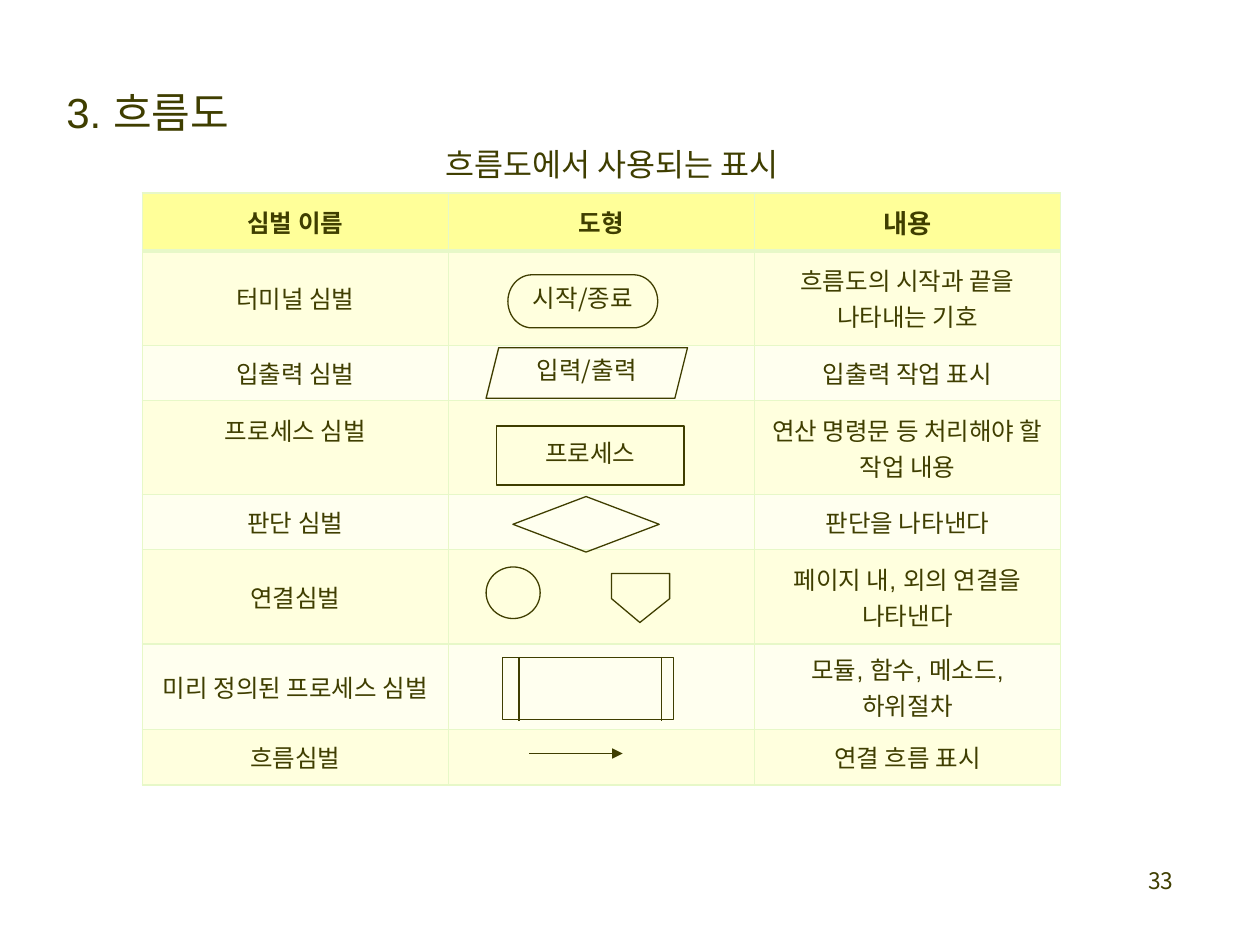
from lxml.etree import SubElement
from pptx import Presentation
from pptx.dml.color import RGBColor
from pptx.enum.shapes import MSO_CONNECTOR, MSO_SHAPE
from pptx.enum.text import MSO_ANCHOR, PP_ALIGN
from pptx.oxml.ns import qn
from pptx.util import Cm, Pt

COLORS = {"ink": "3F3E00", "header": "FFFF99", "odd": "FFFFDE",
          "even": "FFFFEF", "grid": "E7F8C8"}
KOREAN = "Noto Sans CJK KR"


class SymbolSlide:
    """Style and drawing methods for one slide; lengths are in centimetres."""

    def __init__(self, slide):
        self.slide = slide
        self.shapes = slide.shapes

    def color(self, name):
        return RGBColor.from_string(COLORS[name])

    def set_text(self, frame, text, size, align, font="Arial", bold=False):
        frame.text = text
        paragraph = frame.paragraphs[0]
        paragraph.alignment = align
        style = paragraph.font
        style.size, style.bold, style.name = Pt(size), bold, font
        style.color.rgb = self.color("ink")
        properties = paragraph._p.pPr.find(qn("a:defRPr"))
        SubElement(properties, qn("a:ea"), typeface=KOREAN)
        return paragraph

    def label(self, text, left, top, width, height, size,
              align=PP_ALIGN.LEFT, font="Arial", spacing=1.5, wrap=False):
        box = self.shapes.add_textbox(Cm(left), Cm(top), Cm(width), Cm(height))
        box.text_frame.word_wrap = wrap
        paragraph = self.set_text(box.text_frame, text, size, align, font)
        paragraph.line_spacing = spacing

    def outline(self, shape):
        shape.shadow.inherit = False
        shape.fill.background()
        shape.line.color.rgb = self.color("ink")
        shape.line.width = Pt(0.75)

    def symbol(self, kind, left, top, width, height, text=None):
        shape = self.shapes.add_shape(kind, Cm(left), Cm(top), Cm(width), Cm(height))
        self.outline(shape)
        if text:
            frame = shape.text_frame
            frame.margin_left = frame.margin_right = frame.margin_top = 0
            frame.margin_bottom = Cm(0.13)
            frame.vertical_anchor = MSO_ANCHOR.MIDDLE
            self.set_text(frame, text, 14, PP_ALIGN.CENTER, KOREAN)

    def polygon(self, points):
        corners = [(Cm(x), Cm(y)) for x, y in points]
        builder = self.shapes.build_freeform(*corners[0])
        builder.add_line_segments(corners[1:], close=True)
        self.outline(builder.convert_to_shape())

    def line(self, x1, y1, x2, y2, arrow=False):
        connector = self.shapes.add_connector(
            MSO_CONNECTOR.STRAIGHT, Cm(x1), Cm(y1), Cm(x2), Cm(y2))
        connector.line.color.rgb = self.color("ink")
        connector.line.width = Pt(0.75)
        properties = connector._element.spPr
        if arrow:
            SubElement(properties.find(qn("a:ln")), qn("a:tailEnd"), type="triangle")
        SubElement(properties, qn("a:effectLst"))

    def cell_style(self, cell, fill, top, bottom):
        properties = cell._tc.get_or_add_tcPr()
        for side, width in (("L", 1), ("R", 1), ("T", top), ("B", bottom)):
            border = SubElement(properties, qn(f"a:ln{side}"), w=str(Pt(width)))
            paint = SubElement(border, qn("a:solidFill"))
            SubElement(paint, qn("a:srgbClr"), val=COLORS["grid"])
        cell.fill.solid()
        cell.fill.fore_color.rgb = self.color(fill)
        cell.vertical_anchor = MSO_ANCHOR.MIDDLE
        cell.margin_left = cell.margin_right = Cm(0.19)
        cell.margin_top = cell.margin_bottom = Cm(0.1)

    def table(self, rows, heights, left, top, column_width):
        columns = len(rows[0])
        table = self.shapes.add_table(
            len(rows), columns, Cm(left), Cm(top),
            Cm(column_width * columns), Cm(sum(heights))).table
        for column in table.columns:
            column.width = Cm(column_width)
        for r, (texts, height) in enumerate(zip(rows, heights)):
            table.rows[r].height = Cm(height)
            fill = "header" if r == 0 else "odd" if r % 2 else "even"
            for c, text in enumerate(texts):
                cell = table.cell(r, c)
                self.cell_style(cell, fill, 3 if r == 1 else 1, 3 if r == 0 else 1)
                if text:
                    size = 15 if (r, c) == (0, 2) else 14
                    self.set_text(cell.text_frame, text, size, PP_ALIGN.CENTER, bold=r == 0)
        return table


def main():
    presentation = Presentation()
    presentation.slide_width, presentation.slide_height = Cm(25.4), Cm(19.05)
    page = SymbolSlide(presentation.slides.add_slide(presentation.slide_layouts[6]))

    # Table of symbols, with the middle column left free for the drawings
    rows = [
        ("심벌 이름", "도형", "내용"),
        ("터미널 심벌", "", "흐름도의 시작과 끝을 나타내는 기호"),
        ("입출력 심벌", "", "입출력 작업 표시"),
        ("프로세스 심벌", "", "연산 명령문 등 처리해야 할 작업 내용"),
        ("판단 심벌", "", "판단을 나타낸다"),
        ("연결심벌", "", "페이지 내, 외의 연결을 나타낸다"),
        ("미리 정의된 프로세스 심벌", "", "모듈, 함수, 메소드, 하위절차"),
        ("흐름심벌", "", "연결 흐름 표시"),
    ]
    heights = [1.17, 1.9, 1.11, 1.9, 1.11, 1.9, 1.73, 1.11]
    symbols = page.table(rows, heights, 2.87, 3.89, 6.17)
    process_name = symbols.cell(3, 0)
    process_name.vertical_anchor = MSO_ANCHOR.TOP
    process_name.margin_top = Cm(0.23)

    # Page number
    page.label("33", 18.62, 17.35, 5.28, 1.27, 13, PP_ALIGN.RIGHT, KOREAN, 1, True)

    # Terminal, input/output, process and decision
    page.symbol(MSO_SHAPE.FLOWCHART_TERMINATOR, 10.24, 5.54, 3.02, 1.07, "시작/종료")
    page.symbol(MSO_SHAPE.PARALLELOGRAM, 9.8, 7.01, 4.06, 1.02, "입력/출력")
    page.symbol(MSO_SHAPE.RECTANGLE, 10.01, 8.59, 3.78, 1.19, "프로세스")
    page.symbol(MSO_SHAPE.FLOWCHART_DECISION, 10.34, 10.01, 2.95, 1.12)

    # Connectors within and between pages
    page.symbol(MSO_SHAPE.OVAL, 9.8, 11.43, 1.09, 1.04)
    page.polygon([(12.33, 11.56), (13.5, 11.56), (13.5, 12.07),
                  (12.9, 12.55), (12.33, 12.07)])

    # Predefined process
    page.symbol(MSO_SHAPE.RECTANGLE, 10.13, 13.26, 3.45, 1.24)
    for bar in (10.46, 13.34):
        page.line(bar, 13.24, bar, 14.53)

    # Flow arrow
    page.line(10.67, 15.19, 12.55, 15.19, arrow=True)

    # Headings
    page.label("흐름도에서 사용되는 표시", 8.74, 2.41, 7.92, 1.42, 18)
    page.label("3. 흐름도", 1.09, 1.12, 4.04, 1.8, 24)

    presentation.save("out.pptx")


if __name__ == "__main__":
    main()
